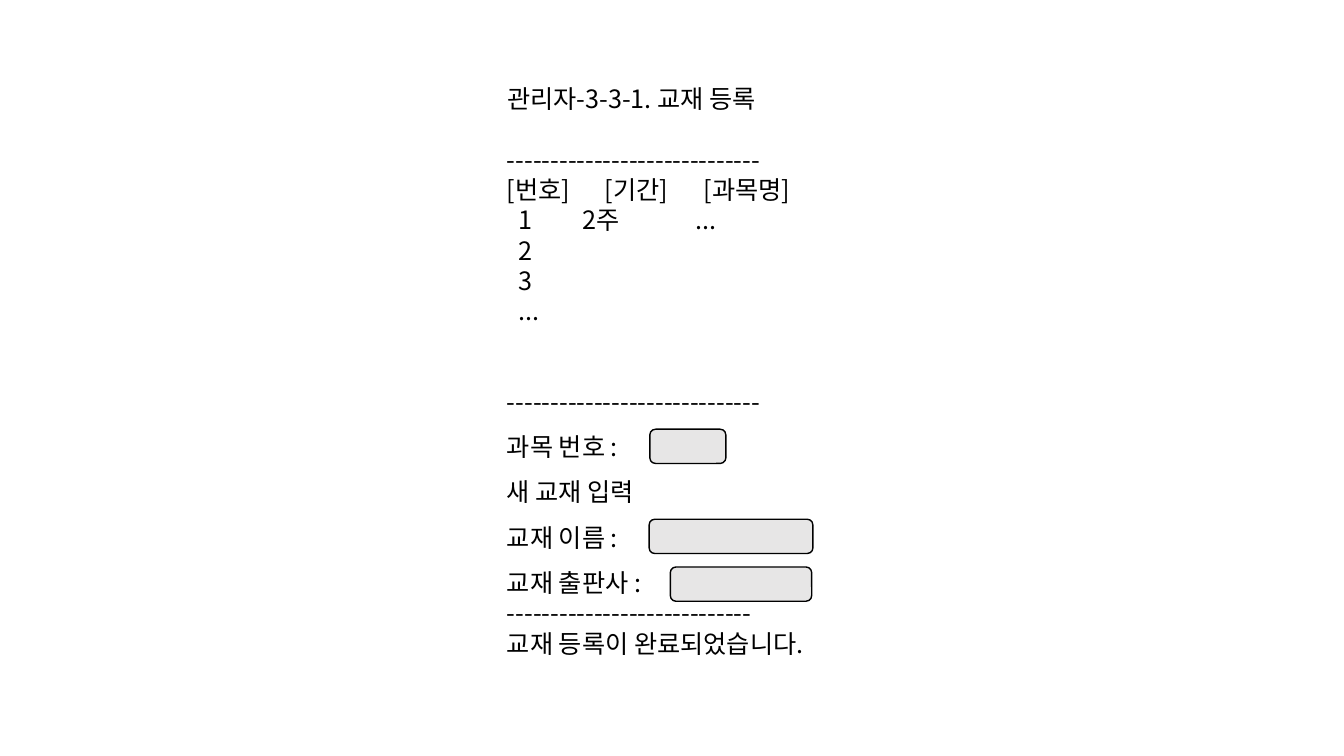
from typing import NamedTuple

from lxml.etree import SubElement
from pptx import Presentation
from pptx.dml.color import RGBColor
from pptx.enum.shapes import MSO_SHAPE
from pptx.enum.text import MSO_ANCHOR, MSO_AUTO_SIZE, PP_ALIGN
from pptx.oxml.ns import qn
from pptx.slide import Slide
from pptx.text.text import TextFrame, _Paragraph
from pptx.util import Pt

BLACK = RGBColor(0x00, 0x00, 0x00)
GRAY = RGBColor(0xE7, 0xE6, 0xE6)
FONT = "Noto Sans CJK KR"
SIZE = 18
LINE = 21.6
LEFT, TOP, WIDTH, HEIGHT = 355, 56.2, 250, 421
HEAD = (70, 140.5)
ROW = (8, 54, 135)


class Line(NamedTuple):
    """One line of the form."""
    text: str
    tabs: tuple[float, ...] = ()
    before: float = 0
    space: float = 1.0


class Field(NamedTuple):
    """One input field, placed in points."""
    left: float
    top: float
    width: float


TITLE = Line("관리자-3-3-1. 교재 등록")
LINES = [
    Line("-" * 29),
    Line("[번호]\t[기간]\t[과목명]", HEAD),
    Line("\t1\t2주\t...", ROW),
    Line("\t2", ROW),
    Line("\t3", ROW),
    Line("\t...", ROW),
    Line("-" * 29, before=2 * LINE),
    Line("과목 번호 :", space=1.5),
    Line("새 교재 입력", space=1.5),
    Line("교재 이름 :", space=1.5),
    Line("교재 출판사 :", space=1.5),
    Line("-" * 28),
    Line("교재 등록이 완료되었습니다."),
]
FIELDS = [
    Field(464.2, 306.6, 54.3),
    Field(463.7, 370.9, 117),
    Field(478.8, 405, 101),
]


def set_frame(frame: TextFrame) -> None:
    """Give a text frame its insets, anchor and wrapping."""
    frame.margin_left = frame.margin_right = Pt(7.2)
    frame.margin_top = frame.margin_bottom = Pt(3.6)
    frame.vertical_anchor = MSO_ANCHOR.TOP
    frame.auto_size = MSO_AUTO_SIZE.NONE
    frame.word_wrap = True


def write(para: _Paragraph, line: Line) -> None:
    """Write one line into a paragraph."""
    para.alignment = PP_ALIGN.LEFT
    para.line_spacing = line.space
    para.space_before = Pt(line.before)
    para.space_after = Pt(0)
    if line.tabs:
        stops = SubElement(para._p.get_or_add_pPr(), qn("a:tabLst"))
        for tab in line.tabs:
            SubElement(stops, qn("a:tab"), pos=str(Pt(tab)), algn="l")
    run = para.add_run()
    run.text = line.text
    run.font.size = Pt(SIZE)
    run.font.name = FONT
    run.font.color.rgb = BLACK
    SubElement(run._r.get_or_add_rPr(), qn("a:ea"), typeface=FONT)


def add_title(slide: Slide) -> None:
    """Place and write the title."""
    title = slide.shapes.title
    title.left, title.top = Pt(LEFT), Pt(TOP)
    title.width, title.height = Pt(WIDTH), Pt(LINE + 7.2)
    set_frame(title.text_frame)
    write(title.text_frame.paragraphs[0], TITLE)


def add_form(slide: Slide) -> None:
    """Write the form below the title, one line left free."""
    drop = 2 * LINE
    box = slide.shapes.add_textbox(
        Pt(LEFT), Pt(TOP + drop), Pt(WIDTH), Pt(HEIGHT - drop))
    frame = box.text_frame
    set_frame(frame)
    for i, line in enumerate(LINES):
        write(frame.add_paragraph() if i else frame.paragraphs[0], line)


def add_field(slide: Slide, field: Field) -> None:
    """Draw one rounded input field."""
    shape = slide.shapes.add_shape(
        MSO_SHAPE.ROUNDED_RECTANGLE,
        Pt(field.left), Pt(field.top), Pt(field.width), Pt(24.5))
    shape.shadow.inherit = False
    shape.fill.solid()
    shape.fill.fore_color.rgb = GRAY
    shape.line.color.rgb = BLACK
    shape.line.width = Pt(1)


deck = Presentation()
deck.slide_width, deck.slide_height = Pt(960), Pt(540)
page = deck.slides.add_slide(deck.slide_layouts[5])
add_title(page)
add_form(page)
for field in FIELDS:
    add_field(page, field)
deck.save("out.pptx")
